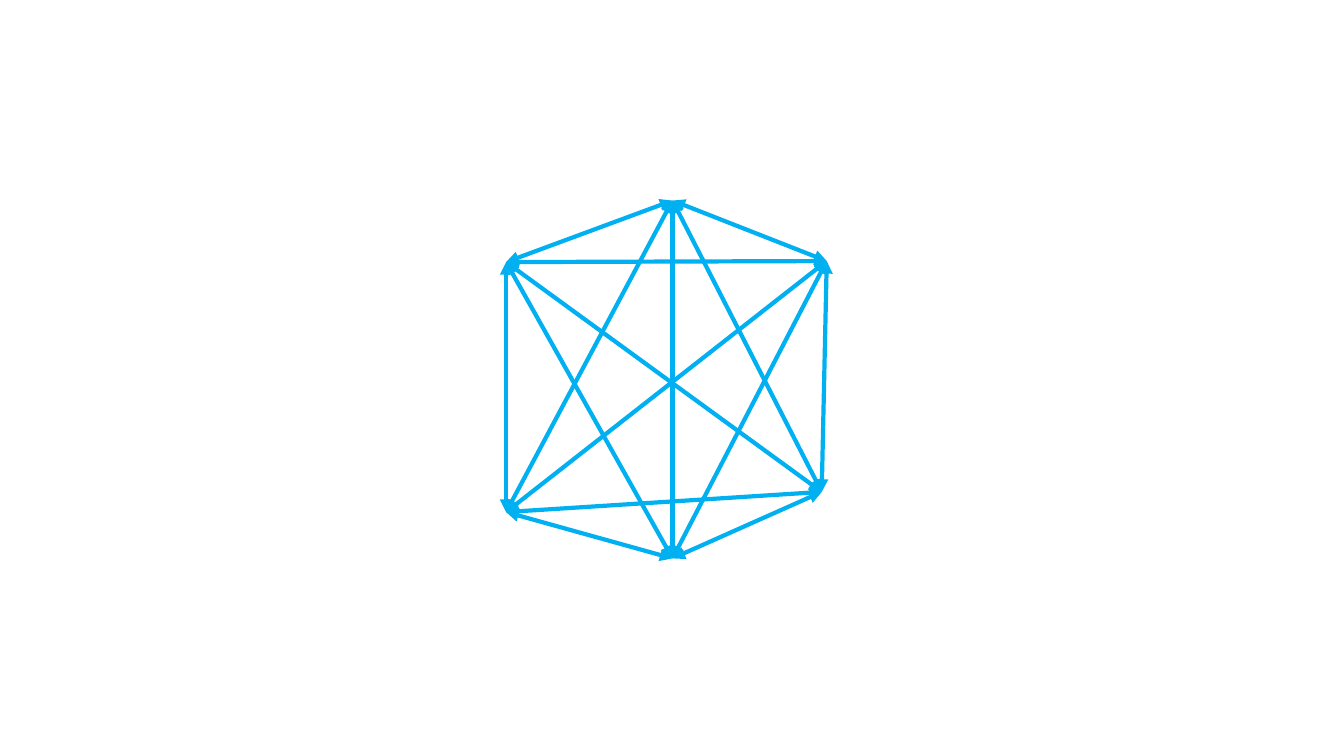
from dataclasses import dataclass
from itertools import combinations

from lxml.etree import SubElement
from pptx import Presentation
from pptx.dml.color import RGBColor
from pptx.enum.shapes import MSO_CONNECTOR
from pptx.oxml.ns import qn
from pptx.slide import Slide
from pptx.util import Inches, Pt


@dataclass(frozen=True)
class Theme:
    link: RGBColor = RGBColor(0x00, 0xB0, 0xF0)
    link_width: float = 3


@dataclass(frozen=True)
class Node:
    x: float
    y: float


THEME = Theme()
NODES = [
    Node(6.67, 1.99),
    Node(8.2, 2.59),
    Node(8.15, 4.88),
    Node(6.67, 5.54),
    Node(5.02, 5.08),
    Node(5.02, 2.6),
]


def add_link(s: Slide, start: Node, end: Node) -> None:
    c = s.shapes.add_connector(
        MSO_CONNECTOR.STRAIGHT,
        Inches(start.x), Inches(start.y), Inches(end.x), Inches(end.y),
    )
    c.line.color.rgb = THEME.link
    c.line.width = Pt(THEME.link_width)
    sp_pr = c.element.spPr
    ln = sp_pr.find(qn("a:ln"))
    for tag in ("a:headEnd", "a:tailEnd"):
        SubElement(ln, qn(tag), type="triangle")
    SubElement(sp_pr, qn("a:effectLst"))


def main() -> None:
    prs = Presentation()
    prs.slide_width, prs.slide_height = Inches(13.33), Inches(7.5)
    s = prs.slides.add_slide(prs.slide_layouts[6])
    for start, end in combinations(NODES, 2):
        add_link(s, start, end)
    prs.save("out.pptx")


if __name__ == "__main__":
    main()
